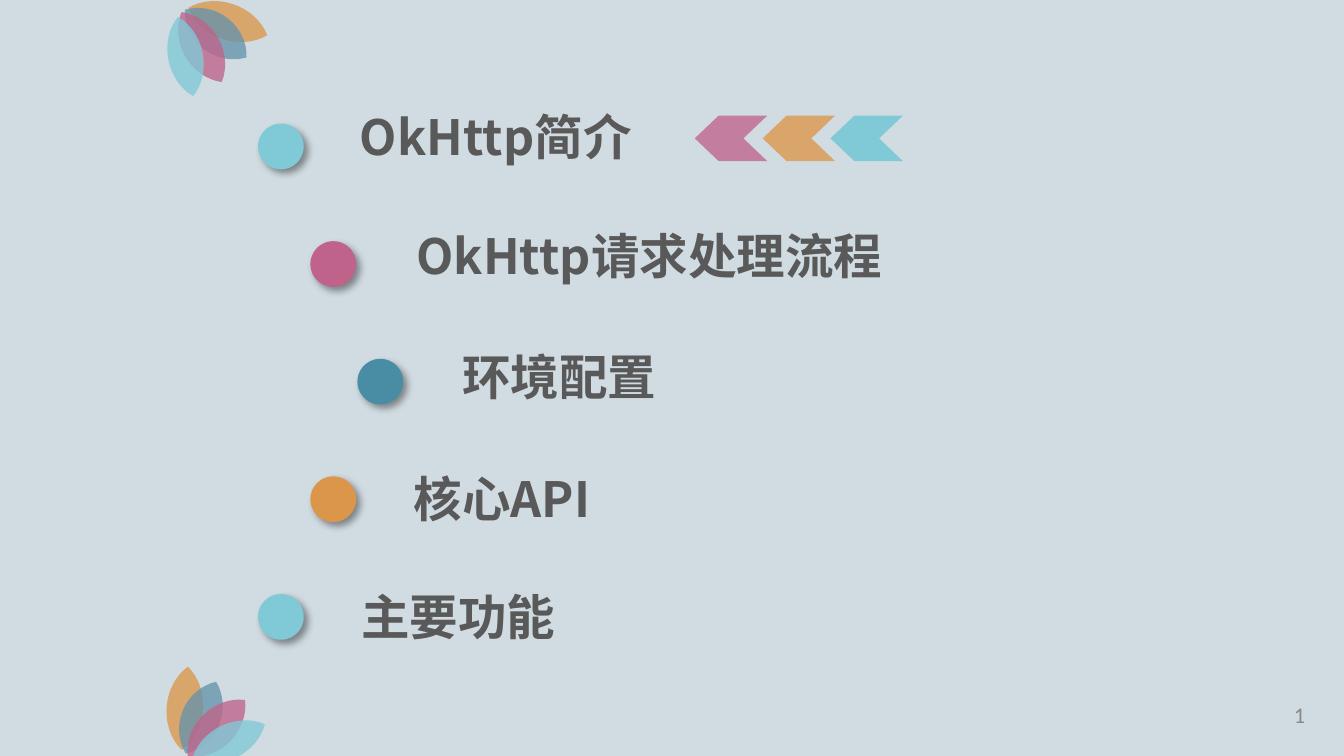
from lxml import etree
from pptx import Presentation
from pptx.dml.color import RGBColor
from pptx.enum import shapes, text
from pptx.oxml import ns
from pptx.util import Inches, Pt

COLORS = {
    "background": "D1DCE2", "text": "595959", "number": "898989",
    "aqua": "80CAD7", "pink": "BF638A", "teal": "498DA4", "orange": "DB9649",
    "slate": "6694AB", "soft orange": "D9A56B", "soft pink": "C37D9E",
}

# Agenda: wording, dot colour, dot left, text left, text top
AGENDA = [
    ("OkHttp简介", "aqua", 1.92, 2.58, 0.75),
    ("OkHttp请求处理流程", "pink", 2.31, 3.00, 1.63),
    ("环境配置", "teal", 2.66, 3.34, 2.53),
    ("核心API", "orange", 2.31, 2.98, 3.44),
    ("主要功能", "aqua", 1.92, 2.59, 4.32),
]
DOT_FIRST, DOT_LAST, DOT_SIZE = 0.92, 4.42, 0.34

CHEVRONS = ["aqua", "soft orange", "soft pink"]
CHEVRON_FIRST, CHEVRON_LAST = 6.18, 5.17

# Petals: colour, width, height, angle, place in lower fan, place in upper fan
PETALS = [
    ("orange", 0.27, 0.62, 184.3, (1.24, 4.96), (1.56, -0.15)),
    ("slate", 0.29, 0.58, 22.9, (1.35, 5.05), (1.46, -0.04)),
    ("pink", 0.28, 0.60, 45.3, (1.47, 5.12), (1.36, 0.05)),
    ("aqua", 0.26, 0.60, 64.3, (1.57, 5.22), (1.25, 0.12)),
]
FAN_TURNS = [0, 104.8]

# Upright petal in a unit box: the tip, then three points for each curve
PETAL_OUTLINE = [
    (0.5, 0),
    (0.81, 0.11), (1, 0.3), (1, 0.5),
    (1, 0.7), (0.81, 0.89), (0.5, 1),
    (0.19, 0.89), (0, 0.7), (0, 0.5),
    (0, 0.3), (0.19, 0.11), (0.5, 0),
]


def rgb(name):
    return RGBColor.from_string(COLORS[name])


def paint(shape, color, alpha=None):
    shape.shadow.inherit = False
    shape.fill.solid()
    shape.fill.fore_color.rgb = rgb(color)
    shape.line.fill.background()
    if alpha:
        fill = shape._element.spPr.find(ns.qn("a:solidFill"))
        etree.SubElement(fill[0], ns.qn("a:alpha"), val=str(alpha * 1000))


def add_shadow(shape):
    effects = shape._element.spPr.find(ns.qn("a:effectLst"))
    shadow = etree.SubElement(
        effects, ns.qn("a:outerShdw"), blurRad=str(Pt(4)), dist=str(Pt(3)),
        dir=str(45 * 60000), algn="tl", rotWithShape="0")
    black = etree.SubElement(shadow, ns.qn("a:srgbClr"), val="000000")
    etree.SubElement(black, ns.qn("a:alpha"), val="40000")


def add_text(parent, words, left, top, width, height, *, size, font, color,
             bold=False, align=text.PP_ALIGN.LEFT, anchor=text.MSO_ANCHOR.TOP,
             fit=text.MSO_AUTO_SIZE.NONE):
    box = parent.shapes.add_textbox(*map(Inches, (left, top, width, height)))
    frame = box.text_frame
    frame.word_wrap = True
    frame.auto_size = fit
    frame.vertical_anchor = anchor
    para = frame.paragraphs[0]
    para.alignment = align
    span = para.add_run()
    span.text = words
    span.font.size, span.font.bold, span.font.name = Pt(size), bold, font
    span.font.color.rgb = rgb(color)
    etree.SubElement(span._r.get_or_add_rPr(), ns.qn("a:ea"), typeface=font)


def add_petal(parent, color, place, width, height, angle):
    points = [(Inches(place[0] + x * width), Inches(place[1] + y * height))
              for x, y in PETAL_OUTLINE]
    builder = parent.shapes.build_freeform(*points[0])
    builder.add_line_segments(points[1:], close=True)
    petal = builder.convert_to_shape()
    # Join each three straight segments into one curve
    lines = list(petal._element.iter(ns.qn("a:lnTo")))
    for first in range(0, len(lines), 3):
        curve = etree.Element(ns.qn("a:cubicBezTo"))
        lines[first].addprevious(curve)
        for line in lines[first:first + 3]:
            curve.append(line[0])
            line.getparent().remove(line)
    petal.rotation = angle
    paint(petal, color, alpha=78)


def main():
    deck = Presentation()
    deck.slide_width, deck.slide_height = Inches(10), Inches(10) * 9 // 16
    page = deck.slides.add_slide(deck.slide_layouts[6])
    page.background.fill.solid()
    page.background.fill.fore_color.rgb = rgb("background")

    # Petal fans
    for fan, fan_turn in enumerate(FAN_TURNS):
        group = page.shapes.add_group_shape()
        for color, width, height, angle, *places in PETALS:
            add_petal(group, color, places[fan], width, height,
                      angle + fan_turn)

    # Agenda lines with their dots
    dot_step = (DOT_LAST - DOT_FIRST) / (len(AGENDA) - 1)
    for row, (words, color, dot_left, left, top) in enumerate(AGENDA):
        group = page.shapes.add_group_shape()
        add_text(group, words, left, top, 3.94, 0.54, size=26,
                 font="Noto Sans CJK SC", color="text", bold=True,
                 fit=text.MSO_AUTO_SIZE.SHAPE_TO_FIT_TEXT)
        dot = group.shapes.add_shape(
            shapes.MSO_SHAPE.OVAL, Inches(dot_left),
            Inches(DOT_FIRST + row * dot_step),
            Inches(DOT_SIZE), Inches(DOT_SIZE))
        paint(dot, color)
        add_shadow(dot)

    # Chevrons pointing at the first line
    group = page.shapes.add_group_shape()
    chevron_step = (CHEVRON_LAST - CHEVRON_FIRST) / (len(CHEVRONS) - 1)
    for column, color in enumerate(CHEVRONS):
        chevron = group.shapes.add_shape(
            shapes.MSO_SHAPE.CHEVRON,
            Inches(CHEVRON_FIRST + column * chevron_step), Inches(0.86),
            Inches(0.54), Inches(0.34))
        chevron.adjustments[0] = 0.525
        chevron._element.spPr.xfrm.set("flipH", "1")
        paint(chevron, color)

    # Page number
    add_text(page, "1", 9.09, 5.17, 0.72, 0.3, size=12, font="Calibri",
             color="number", align=text.PP_ALIGN.RIGHT,
             anchor=text.MSO_ANCHOR.MIDDLE)

    deck.save("out.pptx")


if __name__ == "__main__":
    main()
